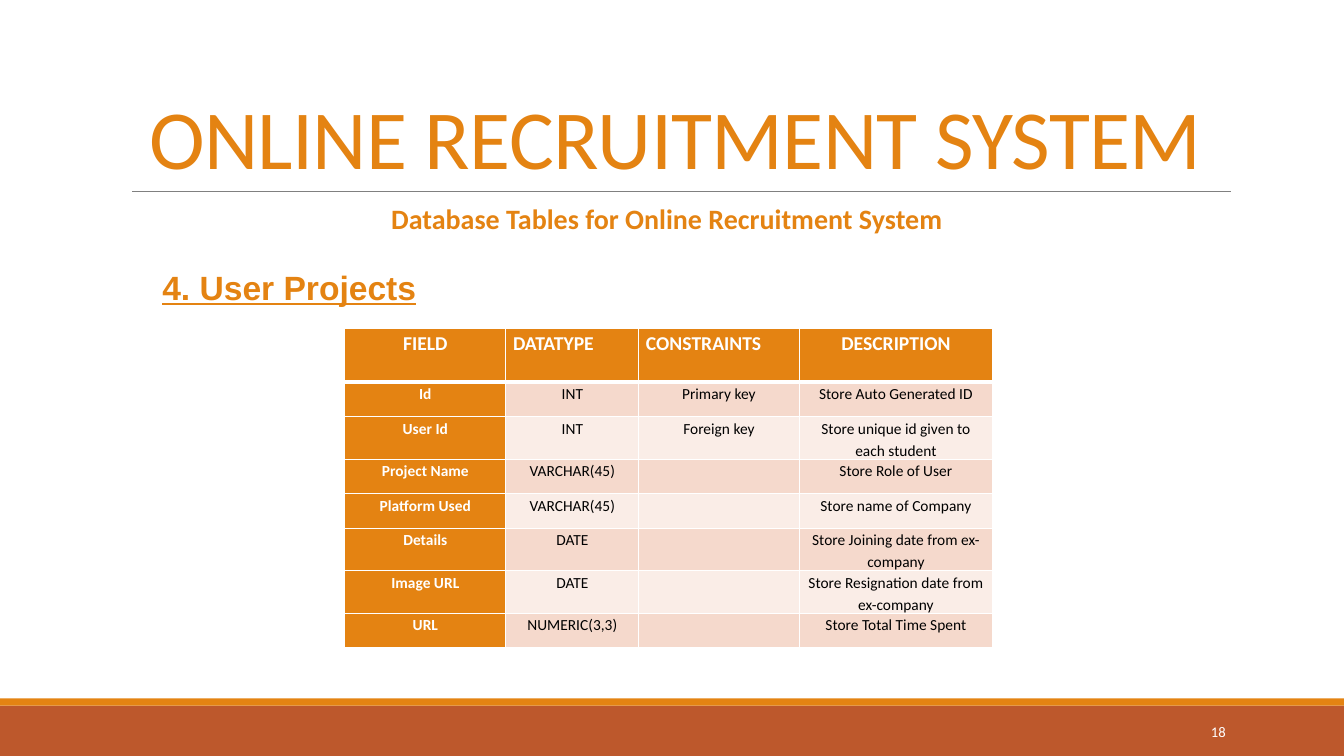
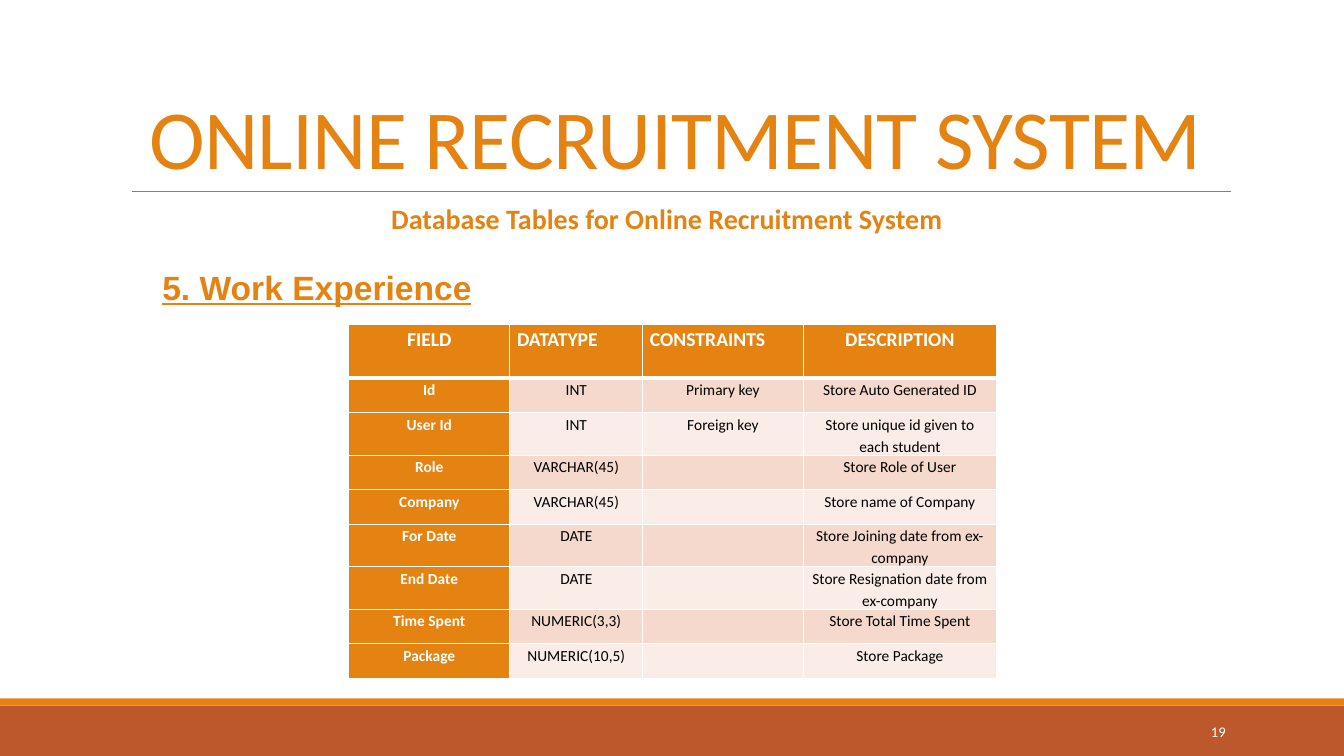
from dataclasses import dataclass
from typing import Any

import lxml.etree
import pptx
import pptx.dml.color
import pptx.enum.shapes
import pptx.enum.text
import pptx.oxml.ns
import pptx.util

Cm = pptx.util.Cm
Pt = pptx.util.Pt
RGBColor = pptx.dml.color.RGBColor
Align = pptx.enum.text.PP_ALIGN
Anchor = pptx.enum.text.MSO_ANCHOR
AutoSize = pptx.enum.text.MSO_AUTO_SIZE
qn = pptx.oxml.ns.qn

ORANGE = RGBColor(0xE4, 0x83, 0x12)
RUST = RGBColor(0xBD, 0x58, 0x2C)
GRAY = RGBColor(0x80, 0x80, 0x80)
WHITE = RGBColor(0xFF, 0xFF, 0xFF)
BLACK = RGBColor(0x00, 0x00, 0x00)
ROW_TINTS = (RGBColor(0xF5, 0xD9, 0xCC), RGBColor(0xFA, 0xED, 0xE7))

SLIDE_WIDTH, SLIDE_HEIGHT = Cm(33.87), Cm(19.05)
TITLE = "ONLINE RECRUITMENT SYSTEM"
SUBTITLE = "Database Tables for Online Recruitment System"


@dataclass(frozen=True)
class TextStyle:
    size: float
    color: RGBColor
    bold: bool = False
    underline: bool = False
    font: str = "Calibri"
    align: Align = Align.CENTER
    line_spacing: float = 1.0


@dataclass(frozen=True)
class Area:
    left: float
    top: float
    width: float
    height: float

    def lengths(self) -> tuple[int, ...]:
        return tuple(Cm(value) for value in (self.left, self.top, self.width, self.height))


@dataclass(frozen=True)
class Band:
    area: Area
    color: RGBColor


@dataclass(frozen=True)
class TablePage:
    number: int
    heading: str
    heading_width: float
    table_left: float
    table_top: float
    fields: tuple[str, ...]


TITLE_STYLE = TextStyle(60, ORANGE, line_spacing=0.85)
SUBTITLE_STYLE = TextStyle(20, ORANGE, bold=True)
HEADING_STYLE = TextStyle(24, ORANGE, bold=True, underline=True, font="Arial", align=Align.LEFT)
NUMBER_STYLE = TextStyle(10.5, WHITE, align=Align.RIGHT)
HEADER_STYLE = TextStyle(14, WHITE, bold=True, line_spacing=1.15)
HEADER_LEFT_STYLE = TextStyle(14, WHITE, bold=True, align=Align.LEFT, line_spacing=1.15)
FIELD_STYLE = TextStyle(11, WHITE, bold=True, line_spacing=1.15)
BODY_STYLE = TextStyle(11, BLACK, line_spacing=1.15)

TITLE_AREA = Area(3.05, 0.79, 27.94, 4.04)
SUBTITLE_AREA = Area(4.27, 4.95, 25.07, 1.12)
NUMBER_AREA = Area(27.51, 17.93, 3.63, 1.02)
BANDS = (
    Band(Area(0, 17.78, 33.87, 1.27), RUST),
    Band(Area(0, 17.6, 33.87, 0.18), ORANGE),
)

HEADERS = (
    ("FIELD", HEADER_STYLE),
    ("DATATYPE", HEADER_LEFT_STYLE),
    ("CONSTRAINTS", HEADER_LEFT_STYLE),
    ("DESCRIPTION", HEADER_STYLE),
)
COLUMN_WIDTHS = (4.06, 3.35, 4.04, 4.88)
HEADER_HEIGHT, ROW_HEIGHT = 1.35, 0.87
FIELD_DETAILS = (
    ("INT", "Primary key", "Store Auto Generated ID"),
    ("INT", "Foreign key", "Store unique id given to each student"),
    ("VARCHAR(45)", "", "Store Role of User"),
    ("VARCHAR(45)", "", "Store name of Company"),
    ("DATE", "", "Store Joining date from ex-company"),
    ("DATE", "", "Store Resignation date from ex-company"),
    ("NUMERIC(3,3)", "", "Store Total Time Spent"),
    ("NUMERIC(10,5)", "", "Store Package"),
)
PAGES = (
    TablePage(18, "4. User Projects", 6.99, 8.69, 8.28,
              ("Id", "User Id", "Project Name", "Platform Used", "Details", "Image URL", "URL")),
    TablePage(19, "5. Work Experience", 8.38, 8.79, 8.18,
              ("Id", "User Id", "Role", "Company", "For Date", "End Date", "Time Spent", "Package")),
)


def set_attributes(target: Any, values: dict[str, Any]) -> None:
    for name, value in values.items():
        setattr(target, name, value)


def write_text(frame: Any, text: str, style: TextStyle) -> Any:
    """Write one styled paragraph and return its run."""
    para = frame.paragraphs[0]
    set_attributes(para, {"alignment": style.align, "line_spacing": style.line_spacing})
    run = para.add_run()
    run.text = text
    set_attributes(run.font, {"name": style.font, "size": Pt(style.size),
                              "bold": style.bold, "underline": style.underline})
    run.font.color.rgb = style.color
    return run


def add_text(page: Any, area: Area, text: str, style: TextStyle, **frame_values: Any) -> None:
    frame = page.shapes.add_textbox(*area.lengths()).text_frame
    set_attributes(frame, {"word_wrap": True, **frame_values})
    write_text(frame, text, style)


def add_bands(page: Any) -> None:
    for band in BANDS:
        shape = page.shapes.add_shape(
            pptx.enum.shapes.MSO_SHAPE.RECTANGLE, *band.area.lengths())
        shape.shadow.inherit = False
        shape.fill.solid()
        shape.fill.fore_color.rgb = band.color
        shape.line.fill.background()


def add_title_rule(page: Any) -> None:
    rule = page.shapes.add_connector(
        pptx.enum.shapes.MSO_CONNECTOR.STRAIGHT, Cm(3.33), Cm(4.83), Cm(31.01), Cm(4.83))
    rule.line.color.rgb = GRAY
    rule.line.width = Pt(0.5)
    lxml.etree.SubElement(rule.element.spPr, qn("a:effectLst"))


def format_title(page: Any) -> None:
    title = page.shapes.title
    set_attributes(title, dict(zip(("left", "top", "width", "height"), TITLE_AREA.lengths())))
    set_attributes(title.text_frame, {"word_wrap": True, "auto_size": AutoSize.NONE,
                                      "vertical_anchor": Anchor.BOTTOM})
    run = write_text(title.text_frame, TITLE, TITLE_STYLE)
    run.font._element.set("spc", "-50")


def set_borders(cell: Any, row_index: int) -> None:
    """Draw white cell edges, thicker between the header and the body."""
    widths = {"L": 1, "R": 1, "T": 3 if row_index == 1 else 1, "B": 3 if row_index == 0 else 1}
    properties = cell._tc.get_or_add_tcPr()
    for side, width in widths.items():
        edge = lxml.etree.SubElement(properties, qn(f"a:ln{side}"), w=str(Pt(width)))
        fill = lxml.etree.SubElement(edge, qn("a:solidFill"))
        lxml.etree.SubElement(fill, qn("a:srgbClr"), val=str(WHITE))


def format_cell(cell: Any, row_index: int, fill: RGBColor, text: str, style: TextStyle) -> None:
    set_attributes(cell, {"margin_left": Cm(0.18), "margin_right": Cm(0.18),
                          "margin_top": 0, "margin_bottom": 0})
    set_borders(cell, row_index)
    cell.fill.solid()
    cell.fill.fore_color.rgb = fill
    if text:
        write_text(cell.text_frame, text, style)


def add_field_table(page: Any, content: TablePage) -> None:
    row_count = len(content.fields) + 1
    area = Area(content.table_left, content.table_top, sum(COLUMN_WIDTHS),
                HEADER_HEIGHT + ROW_HEIGHT * len(content.fields))
    table = page.shapes.add_table(row_count, len(HEADERS), *area.lengths()).table
    table.horz_banding = False
    for column, width in zip(table.columns, COLUMN_WIDTHS):
        column.width = Cm(width)
    for index, row in enumerate(table.rows):
        row.height = Cm(ROW_HEIGHT if index else HEADER_HEIGHT)

    for column_index, (text, style) in enumerate(HEADERS):
        format_cell(table.cell(0, column_index), 0, ORANGE, text, style)
    for row_index, (field, details) in enumerate(zip(content.fields, FIELD_DETAILS), start=1):
        format_cell(table.cell(row_index, 0), row_index, ORANGE, field, FIELD_STYLE)
        tint = ROW_TINTS[(row_index - 1) % len(ROW_TINTS)]
        for column_index, text in enumerate(details, start=1):
            format_cell(table.cell(row_index, column_index), row_index, tint, text, BODY_STYLE)


def add_page(deck: Any, content: TablePage) -> None:
    page = deck.slides.add_slide(deck.slide_layouts.get_by_name("Title Only"))
    add_bands(page)
    add_title_rule(page)
    add_text(page, NUMBER_AREA, str(content.number), NUMBER_STYLE, vertical_anchor=Anchor.MIDDLE)
    format_title(page)
    add_text(page, SUBTITLE_AREA, SUBTITLE, SUBTITLE_STYLE, auto_size=AutoSize.SHAPE_TO_FIT_TEXT)
    add_text(page, Area(3.84, 6.6, content.heading_width, 1.27), content.heading, HEADING_STYLE,
             word_wrap=False, auto_size=AutoSize.SHAPE_TO_FIT_TEXT)
    add_field_table(page, content)


def main() -> None:
    deck = pptx.Presentation()
    set_attributes(deck, {"slide_width": SLIDE_WIDTH, "slide_height": SLIDE_HEIGHT})
    for content in PAGES:
        add_page(deck, content)
    deck.save("out.pptx")


if __name__ == "__main__":
    main()
